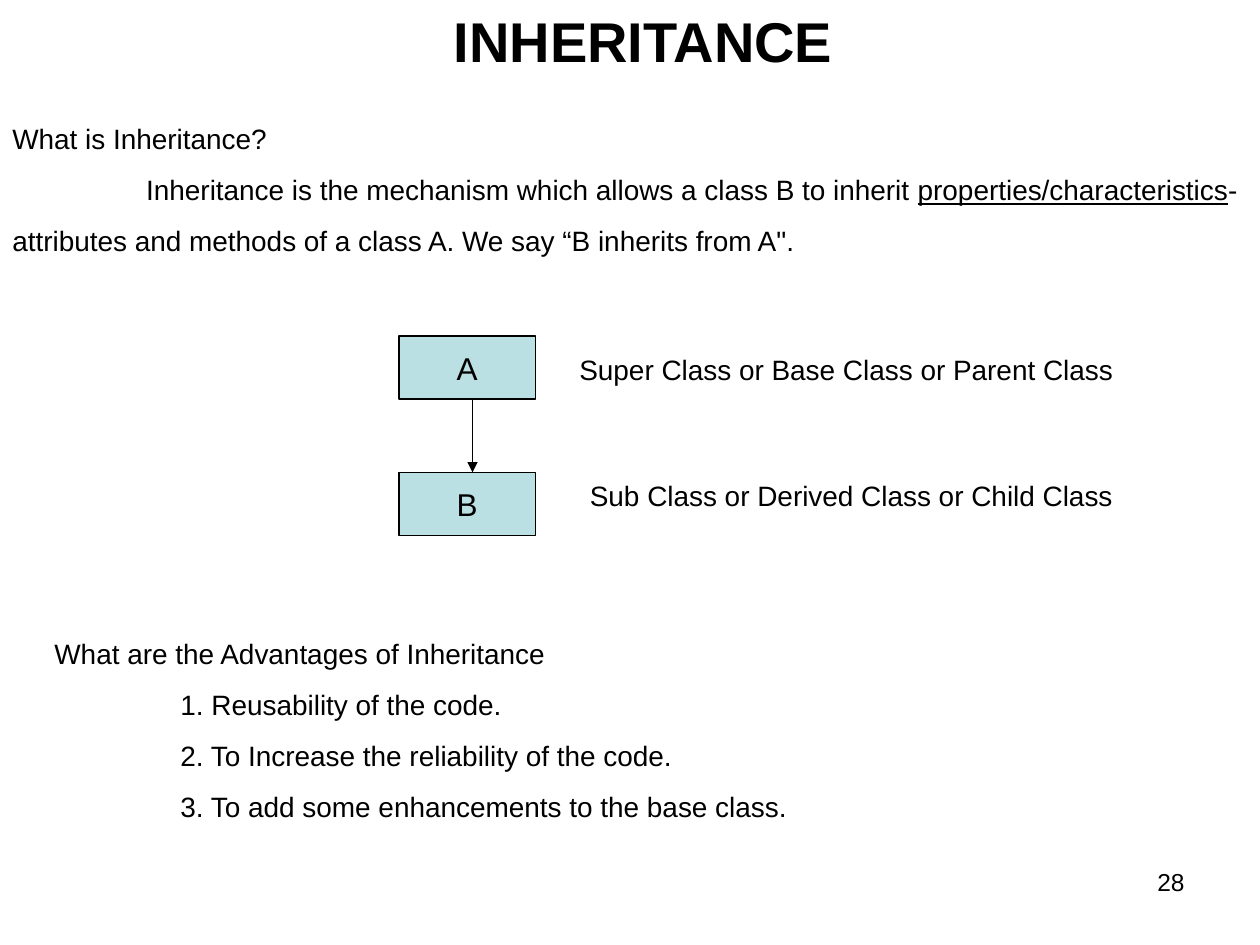
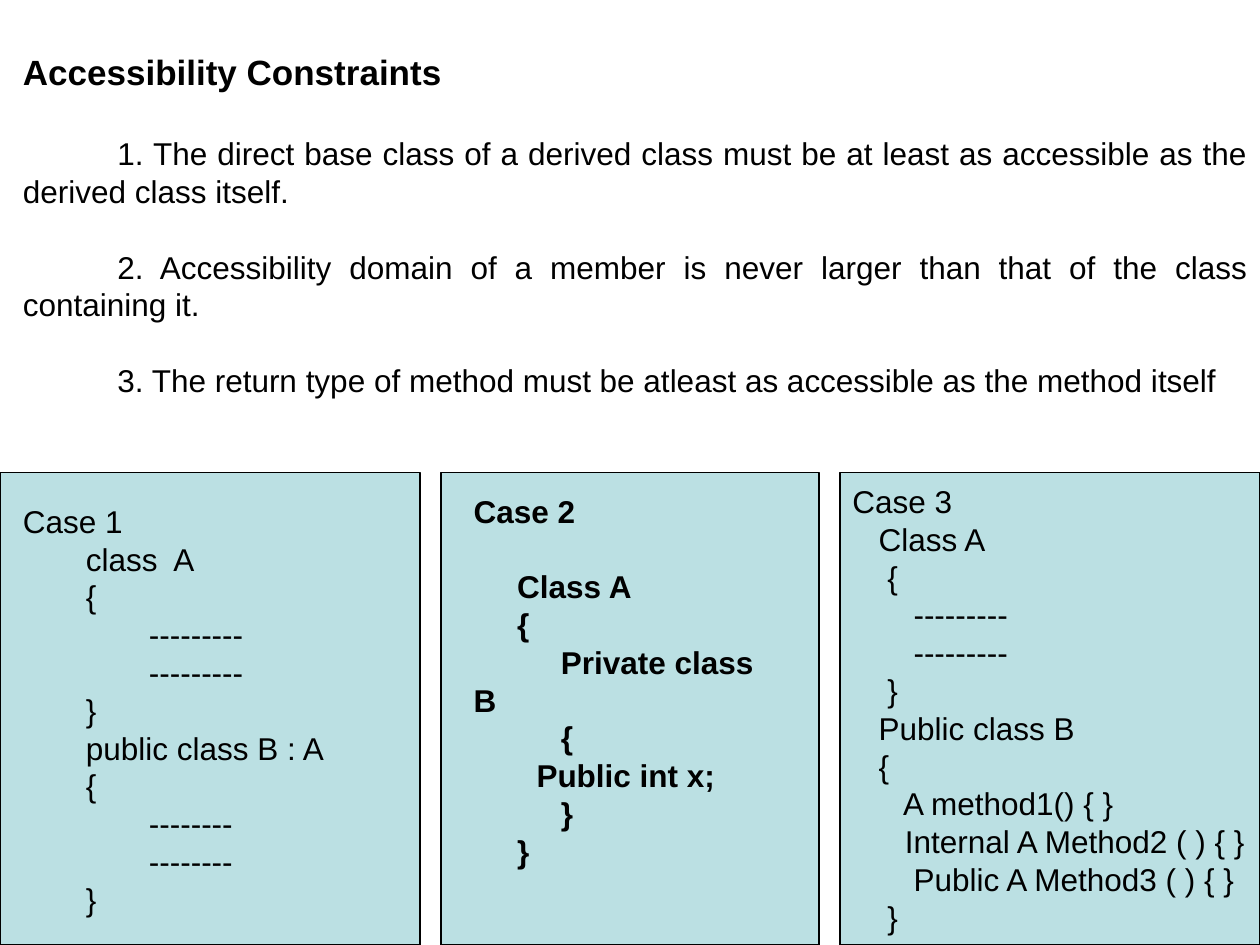
import pptx
import pptx.dml.color
import pptx.enum.shapes
import pptx.enum.text
import pptx.oxml.ns
import pptx.util
from lxml import etree

Pt = pptx.util.Pt
ALIGN = pptx.enum.text.PP_ALIGN
ANCHOR = pptx.enum.text.MSO_ANCHOR
BLACK, AQUA = "000000", "BBE0E3"
FONT = "Arial"

CASE_1 = """Case 1
\tclass  A
\t{
\t\t---------
\t\t---------
\t}
\tpublic class B : A
\t{
\t\t--------
\t\t--------
\t}""".split("\n")

CASE_2 = """Case 2
     Class A
     {
          Private class B
          {
\tPublic int x;
          }
     }""".split("\n")

CASE_3 = """Case 3
   Class A
    {
       ---------
       ---------
    }
   Public class B
   {
      A method1() { }
      Internal A Method2 ( ) { }
       Public A Method3 ( ) { }
    }""".split("\n")


def rgb(color):
    """Turn a hex string into a colour."""
    return pptx.dml.color.RGBColor.from_string(color)


def style(p, size, bold=False, align=ALIGN.LEFT, before=0, left=0, indent=0):
    """Set the font, alignment, spacing and indents of a paragraph."""
    pPr = p._p.get_or_add_pPr()
    pPr.set("marL", str(Pt(left)))
    pPr.set("indent", str(Pt(indent)))
    p.alignment = align
    p.space_before = Pt(before)
    p.font.name, p.font.size, p.font.bold = FONT, Pt(size), bold
    p.font.color.rgb = rgb(BLACK)


def fill_text(tf, lines, size, anchor=ANCHOR.TOP, wrap=True, before=0, **look):
    """Write equally styled lines into a text frame and return its paragraphs."""
    tf.word_wrap = wrap
    tf.vertical_anchor = anchor
    for i, line in enumerate(lines):
        p = tf.paragraphs[0] if i == 0 else tf.add_paragraph()
        if line:
            p.add_run().text = line
        style(p, size, before=before if i else 0, **look)
    return tf.paragraphs


def text(s, box, lines, size, **look):
    """Add a text box and return its paragraphs."""
    sp = s.shapes.add_textbox(*map(Pt, box))
    return fill_text(sp.text_frame, lines, size, **look)


def panel(s, box):
    """Add an outlined aqua rectangle."""
    sp = s.shapes.add_shape(pptx.enum.shapes.MSO_SHAPE.RECTANGLE, *map(Pt, box))
    sp.shadow.inherit = False
    sp.fill.solid()
    sp.fill.fore_color.rgb = rgb(AQUA)
    sp.line.color.rgb = rgb(BLACK)
    sp.line.width = Pt(0.75)
    return sp


def arrow(s, x, top, bottom):
    """Add a vertical arrow that points down."""
    cxn = s.shapes.add_connector(
        pptx.enum.shapes.MSO_CONNECTOR.STRAIGHT, Pt(x), Pt(top), Pt(x), Pt(bottom))
    cxn.line.color.rgb = rgb(BLACK)
    cxn.line.width = Pt(0.75)
    qn = pptx.oxml.ns.qn
    etree.SubElement(cxn.line._get_or_add_ln(), qn("a:tailEnd"), type="triangle")
    etree.SubElement(cxn._element.spPr, qn("a:effectLst"))


def definition(s, box):
    """Add the question and the definition of inheritance."""
    ps = text(s, box, [
        "What is Inheritance?",
        "",
        "attributes and methods of a class A. We say “B inherits from A\".",
    ], 16, before=10)
    p = ps[1]
    style(p, 16, align=ALIGN.JUSTIFY, before=10, indent=76.45)
    for part in ("Inheritance is the mechanism which allows a class B to inherit ",
                 "properties/characteristics", "-"):
        r = p.add_run()
        r.text = part
        if part.startswith("properties"):
            r.font.underline = True


def class_diagram(s, box):
    """Add the parent and child classes with their labels."""
    x, y, w, h = box
    node_w, node_h = 78, 36
    child_y = y + h - node_h
    for name, top in (("A", y), ("B", child_y)):
        sp = panel(s, (x, top, node_w, node_h))
        fill_text(sp.text_frame, [name], 18, anchor=ANCHOR.MIDDLE, wrap=False,
                  align=ALIGN.CENTER)
    arrow(s, x + 42, y + node_h, child_y)
    text(s, (x + 96, y + 6, w - 102, 26.6),
         ["Super Class or Base Class or Parent Class"], 16)
    text(s, (x + 102, child_y, w - 102, 26.6),
         ["Sub Class or Derived Class or Child Class"], 16)


def advantages(s, box):
    """Add the numbered advantages under their heading."""
    ps = text(s, box, [
        "What are the Advantages of Inheritance",
        "1. Reusability of the code.",
        "2. To Increase the reliability of the code.",
        "3. To add some enhancements to the base class.",
    ], 16, before=10)
    for p in ps[1:]:
        style(p, 16, before=10, left=72)


def constraints(s, box):
    """Add the heading and the three accessibility rules."""
    ps = text(s, box, [
        "Accessibility Constraints",
        "1. The direct base class of a derived class must be at least as accessible "
        "as the derived class itself.",
        "2. Accessibility domain of a member is never larger than that of the class "
        "containing it.",
        "3. The return type of method must be atleast as accessible as the method itself",
    ], 18, anchor=ANCHOR.MIDDLE, align=ALIGN.JUSTIFY, before=21.6, indent=54)
    style(ps[0], 20, bold=True)
    ps[1].space_before = Pt(24)


def cases(s, box):
    """Add the three code panels side by side."""
    x, y, w, h = box
    gap, outer_w = 12, 240
    middle_w = w - 2 * (outer_w + gap)
    middle_x = x + outer_w + gap
    panel(s, (x, y, outer_w, h))
    text(s, (x + 6, y + 13, 223, 245), CASE_1, 18, anchor=ANCHOR.MIDDLE, wrap=False)
    panel(s, (middle_x, y, middle_w, h))
    ps = text(s, (middle_x + 11.5, y + 18, middle_w - 24, 202), CASE_2, 18,
              anchor=ANCHOR.MIDDLE, bold=True)
    ps[1].space_before = Pt(21.6)
    sp = panel(s, (x + w - outer_w, y, outer_w, h))
    fill_text(sp.text_frame, CASE_3, 18, anchor=ANCHOR.MIDDLE, wrap=False)


def inheritance_slide(prs):
    """Build the slide that introduces inheritance."""
    s = prs.slides.add_slide(prs.slide_layouts[6])
    text(s, (516, 492, 168, 37.5), ["28"], 14, align=ALIGN.RIGHT)
    text(s, (180, 0, 384, 46), ["INHERITANCE "], 32, bold=True, align=ALIGN.CENTER)
    definition(s, (0, 66, 720, 85))
    class_diagram(s, (228, 192, 432, 114))
    advantages(s, (24, 360, 660, 114.5))


def accessibility_slide(prs):
    """Build the slide on accessibility constraints."""
    s = prs.slides.add_slide(prs.slide_layouts[6])
    constraints(s, (6, 25, 714, 206.5))
    cases(s, (0, 270, 720, 270))


def main():
    """Build and save the presentation."""
    prs = pptx.Presentation()
    prs.slide_width, prs.slide_height = Pt(720), Pt(540)
    inheritance_slide(prs)
    accessibility_slide(prs)
    prs.save("out.pptx")


if __name__ == "__main__":
    main()
